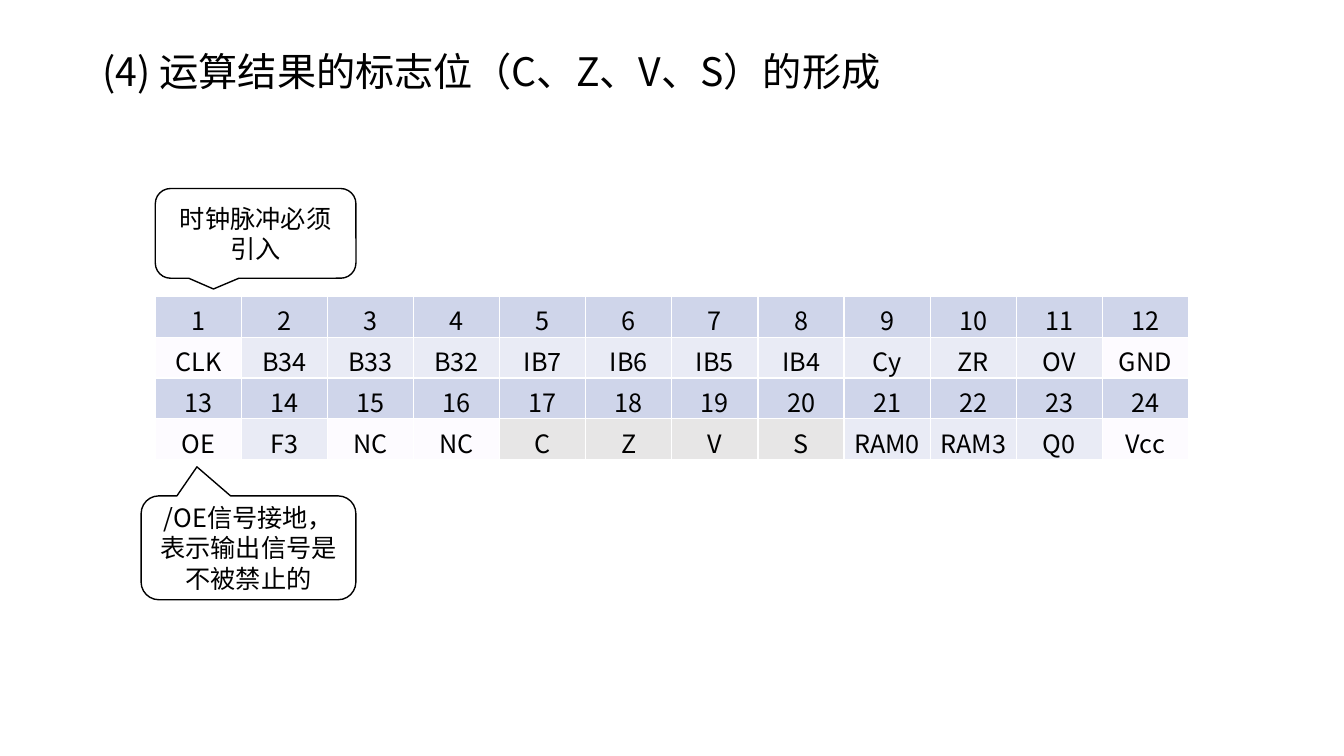
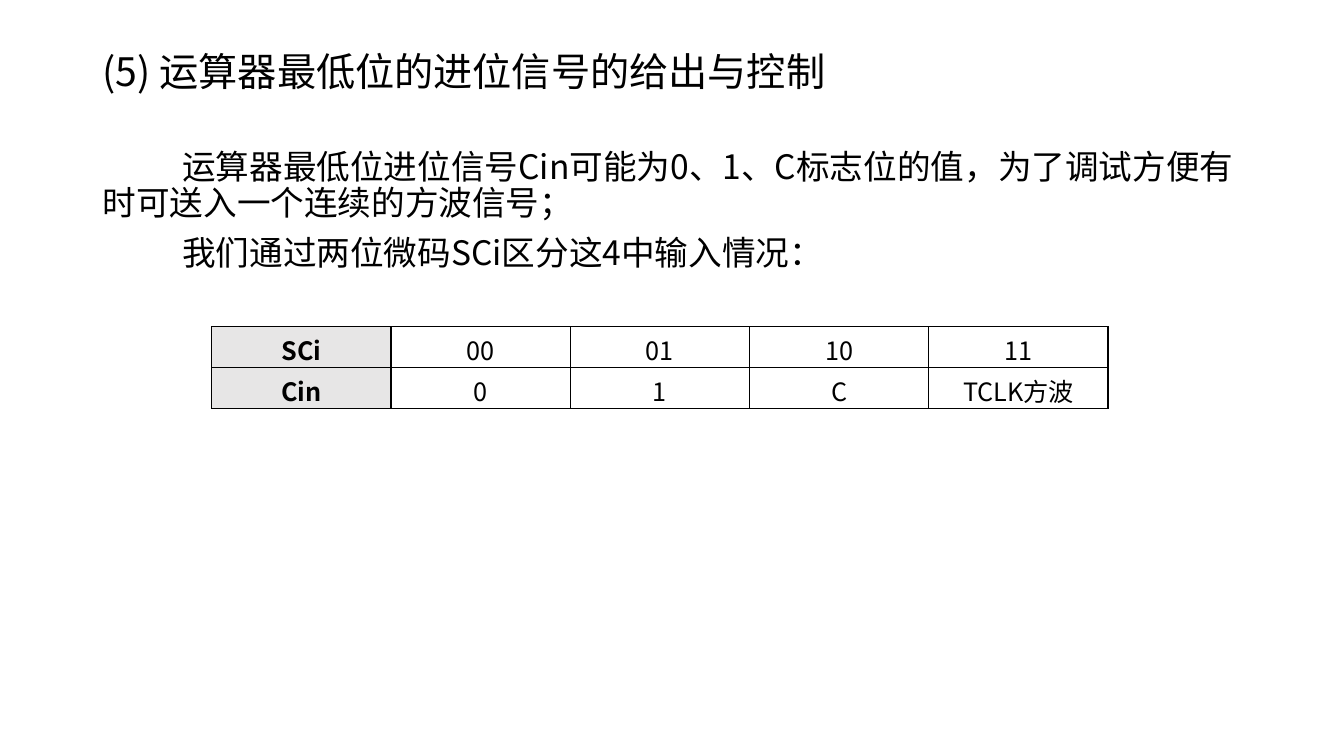
"""Build two slides on ALU flag bits and the carry input."""
from lxml import etree
from pptx import Presentation
from pptx.dml.color import RGBColor
from pptx.enum.shapes import MSO_SHAPE
from pptx.enum.text import MSO_ANCHOR, PP_ALIGN
from pptx.oxml.ns import qn
from pptx.util import Inches, Pt

FONT = "Noto Sans CJK SC"
BLACK = RGBColor(0x00, 0x00, 0x00)
WHITE = RGBColor(0xFF, 0xFF, 0xFF)
BLUE = RGBColor(0xCF, 0xD5, 0xEA)
PALE = RGBColor(0xE9, 0xEB, 0xF5)
SNOW = RGBColor(0xFD, 0xFB, 0xFF)
GREY = RGBColor(0xE7, 0xE6, 0xE6)


def write(frame, text, size=18, bold=False, align=PP_ALIGN.CENTER,
          anchor=None, line=None, before=0, indent=0):
    frame.word_wrap = True
    if anchor is not None:
        frame.vertical_anchor = anchor
    frame.text = text
    for para in frame.paragraphs:
        para.alignment = align
        para.line_spacing = line
        para.space_before = Pt(before)
        if indent:
            props = para._p.get_or_add_pPr()
            props.set("marL", "0")
            props.set("indent", str(Inches(indent)))
        for run in para.runs:
            font = run.font
            font.size = Pt(size)
            font.bold = bold
            font.color.rgb = BLACK
            font.name = FONT
            east = etree.SubElement(run._r.get_or_add_rPr(), qn("a:ea"))
            east.set("typeface", FONT)


def grid(slide, rows, box, edge, shade):
    table = slide.shapes.add_table(len(rows), len(rows[0]), *map(Inches, box)).table
    table.first_row = table.horz_banding = False
    for col in table.columns:
        col.width = Inches(box[2] / len(rows[0]))
    for r, row in enumerate(rows):
        table.rows[r].height = Inches(box[3] / len(rows))
        for c, text in enumerate(row):
            cell = table.cell(r, c)
            fill = shade(r, text)
            write(cell.text_frame, text, bold=text in HEADS)
            props = cell._tc.get_or_add_tcPr()
            for side in ("lnL", "lnR", "lnT", "lnB"):
                line = etree.SubElement(props, qn(f"a:{side}"), w=str(Pt(1)))
                solid = etree.SubElement(line, qn("a:solidFill"))
                etree.SubElement(solid, qn("a:srgbClr"), val=str(edge))
            cell.fill.solid()
            cell.fill.fore_color.rgb = fill


deck = Presentation()
deck.slide_width, deck.slide_height = Inches(13.33), Inches(7.5)

TITLES = ["(4) 运算结果的标志位（C、Z、V、S）的形成",
          "(5) 运算器最低位的进位信号的给出与控制"]
for title in TITLES:
    slide = deck.slides.add_slide(deck.slide_layouts[6])
    box = slide.shapes.add_textbox(Inches(0.92), Inches(0.4), Inches(11.5), Inches(0.66))
    write(box.text_frame, title, size=28, align=PP_ALIGN.LEFT,
          anchor=MSO_ANCHOR.MIDDLE, line=0.9)
flags, carry = deck.slides

HEADS = ("SCi", "Cin")
PINS = ["CLK B34 B33 B32 IB7 IB6 IB5 IB4 Cy ZR OV GND".split(),
        "OE F3 NC NC C Z V S RAM0 RAM3 Q0 Vcc".split()]
FILLS = {"C": GREY, "Z": GREY, "V": GREY, "S": GREY,
         "CLK": SNOW, "GND": SNOW, "OE": SNOW, "NC": SNOW, "Vcc": SNOW}
rows = []
for start, names in zip((1, 13), PINS):
    rows += [[str(start + i) for i in range(12)], names]
grid(flags, rows, (1.54, 2.94, 10.25, 1.62), WHITE,
     lambda r, text: FILLS.get(text, PALE) if r % 2 else BLUE)

NOTES = [((1.54, 1.87, 1.99, 0.89), (-0.21, 0.62, 0.17), "时钟脉冲必须引入"),
         ((1.4, 4.92, 2.13, 1.03), (-0.24, -0.78, 0.17),
          "/OE信号接地，表示输出信号是不被禁止的")]
for place, tips, text in NOTES:
    note = flags.shapes.add_shape(MSO_SHAPE.ROUNDED_RECTANGULAR_CALLOUT,
                                  *map(Inches, place))
    for i, tip in enumerate(tips):
        note.adjustments[i] = tip
    note.shadow.inherit = False
    note.fill.solid()
    note.fill.fore_color.rgb = WHITE
    note.line.color.rgb = BLACK
    note.line.width = Pt(1)
    write(note.text_frame, text, anchor=MSO_ANCHOR.MIDDLE)

body = carry.shapes.add_textbox(Inches(0.92), Inches(1.44), Inches(11.5), Inches(1.47))
write(body.text_frame,
      "运算器最低位进位信号Cin可能为0、1、C标志位的值，为了调试方便有时可送入一个连续的方波信号；\n"
      "我们通过两位微码SCi区分这4中输入情况：",
      size=24, align=PP_ALIGN.LEFT, line=0.9, before=10, indent=0.79)
grid(carry, [["SCi", "00", "01", "10", "11"], ["Cin", "0", "1", "C", "TCLK方波"]],
     (2.1, 3.24, 8.89, 0.81), BLACK,
     lambda r, text: GREY if text in HEADS else WHITE)

deck.save("out.pptx")
